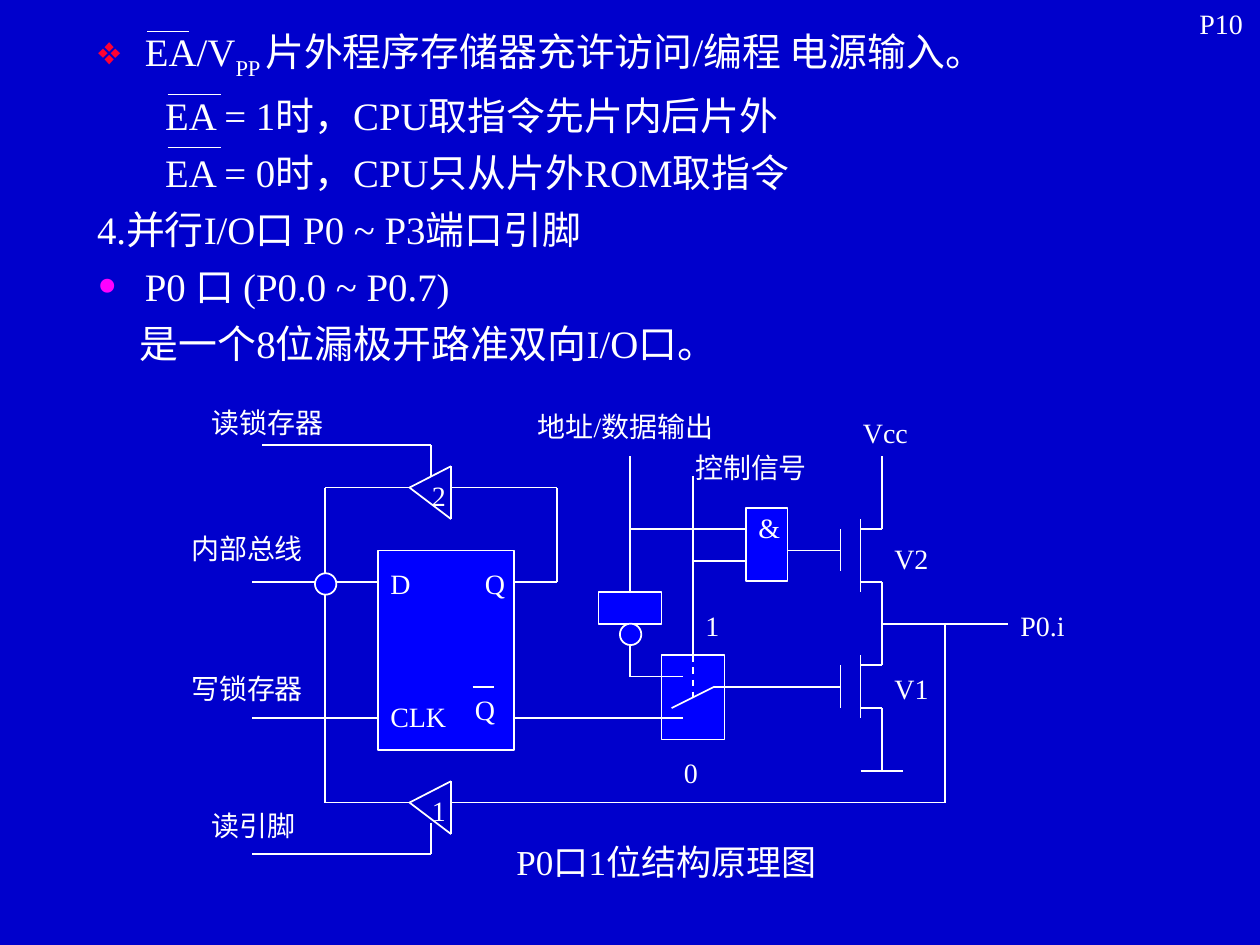
from itertools import pairwise

from lxml.etree import SubElement
from pptx import Presentation
from pptx.dml.color import RGBColor
from pptx.enum.dml import MSO_LINE
from pptx.enum.shapes import MSO_CONNECTOR, MSO_SHAPE
from pptx.enum.text import MSO_AUTO_SIZE as AutoSize
from pptx.oxml.ns import qn
from pptx.util import Inches, Pt

NAVY = RGBColor(0x00, 0x00, 0xCC)
BLUE = RGBColor(0x00, 0x00, 0xFF)
WHITE = RGBColor(0xFF, 0xFF, 0xFF)
RED = RGBColor(0xFF, 0x00, 0x33)
MAGENTA = RGBColor(0xFF, 0x00, 0xFF)
FONT = "Times New Roman"
TOP = 0  # connection site

# Paragraphs: runs as (text, baseline), left margin, bullet as (sign, colour, percent)
NOTES = [
    ([("EA/V", 0), ("PP ", -25), ("片外程序存储器充许访问/编程 电源输入。", 0)],
     0.38, ("❖", RED, 80)),
    ([("EA = 1时，CPU取指令先片内后片外", 0)], 0.54, None),
    ([("EA = 0时，CPU只从片外ROM取指令", 0)], 0.54, None),
    ([("4.并行I/O口 P0 ~ P3端口引脚", 0)], 0, None),
    ([("P0 口 (P0.0 ~ P0.7)", 0)], 0.38, ("•", MAGENTA, 150)),
    ([("是一个8位漏极开路准双向I/O口。", 0)], 0.34, None),
]

OVERBARS = [
    [(1.33, 0.75), (1.75, 0.75)],
    [(1.33, 1.17), (1.75, 1.17)],
    [(1.17, 0.25), (1.5, 0.25)],
]

# Wires of the circuit, each a path of corner points
WIRES = [
    [(3, 4.62), (2, 4.62)],  # internal bus to D
    [(3, 5.7), (2, 5.7)],  # write latch to CLK
    [(3.25, 3.87), (2.58, 3.87), (2.58, 6.37), (3.25, 6.37)],  # buffers to bus
    [(4.08, 4.62), (4.42, 4.62), (4.42, 3.87), (3.58, 3.87)],  # Q to buffer 2
    [(4.08, 5.7), (5.42, 5.7)],  # inverted Q to switch
    [(5, 5.12), (5, 5.37), (5.42, 5.37)],  # inverter to switch
    [(5.33, 5.62), (5.67, 5.45), (6.67, 5.45)],  # switch arm to V1
    [(5, 4.2), (5.92, 4.2)],  # gate inputs and output
    [(5.5, 4.45), (5.92, 4.45)],
    [(6.25, 4.37), (6.67, 4.37)],
    [(7, 3.62), (7, 4.2)],  # supply, output and ground
    [(7, 4.62), (7, 5.28)],
    [(7, 5.62), (7, 6.12)],
    [(6.83, 6.12), (7.17, 6.12)],
    [(7, 4.95), (8, 4.95)],
    [(3.58, 6.37), (7.5, 6.37), (7.5, 4.95)],  # pin to buffer 1
    [(3.42, 3.78), (3.42, 3.53), (2.08, 3.53)],  # read latch
    [(3.42, 6.53), (3.42, 6.78), (2, 6.78)],  # read pin
    [(3.75, 5.45), (3.92, 5.45)],  # bar above Q
]

# Text, left, top, width
LABELS = [
    ("P0.i", 8, 4.78, 0.58), ("1", 3.33, 6.25, 0.5), ("2", 3.33, 3.75, 0.5),
    ("读锁存器", 1.58, 3.17, 1.25), ("内部总线", 1.42, 4.17, 1.17),
    ("写锁存器", 1.42, 5.28, 1.17), ("读引脚", 1.58, 6.37, 1),
    ("D", 3, 4.45, 0.42), ("CLK", 3, 5.5, 0.67),
    ("Q", 3.75, 4.45, 0.42), ("Q", 3.67, 5.45, 0.5),
    ("&", 5.92, 4, 0.42), ("地址/数据输出", 4.17, 3.2, 1.75),
    ("控制信号", 5.42, 3.53, 1.17), ("Vcc", 6.75, 3.25, 0.75),
    ("V2", 7, 4.25, 0.5), ("V1", 7, 5.28, 0.58),
    ("1", 5.5, 4.78, 0.42), ("0", 5.33, 5.95, 0.58),
]


def set_font(run, size):
    for name, value in {"name": FONT, "size": Pt(size)}.items():
        setattr(run.font, name, value)
    run.font.color.rgb = WHITE


def set_bullet(paragraph, margin, bullet):
    properties = paragraph._p.get_or_add_pPr()
    properties.set("marL", str(Inches(margin)))
    properties.set("indent", str(-Inches(margin) if bullet else 0))
    if not bullet:
        SubElement(properties, qn("a:buNone"))
        return
    sign, color, percent = bullet
    holder = SubElement(properties, qn("a:buClr"))
    SubElement(holder, qn("a:srgbClr"), val=str(color))
    SubElement(properties, qn("a:buSzPct"), val=str(percent * 1000))
    SubElement(properties, qn("a:buFont"), typeface=FONT)
    SubElement(properties, qn("a:buChar"), char=sign)


def fill_notes(body):
    box = {"left": 0.67, "top": 0.17, "width": 8.5, "height": 2.92}
    for name, value in box.items():
        setattr(body, name, Inches(value))
    frame = body.text_frame
    frame.auto_size = AutoSize.NONE
    for index, (runs, margin, bullet) in enumerate(NOTES):
        paragraph = frame.add_paragraph() if index else frame.paragraphs[0]
        paragraph.space_before = Pt(6)
        set_bullet(paragraph, margin, bullet)
        for text, baseline in runs:
            run = paragraph.add_run()
            run.text = text
            set_font(run, 22.2)
            if baseline:
                run.font._element.set("baseline", str(baseline * 1000))


def add_label(shapes, text, left, top, width, height=0.37, size=16, before=10):
    label = shapes.add_textbox(*map(Inches, (left, top, width, height)))
    frame = label.text_frame
    frame.word_wrap = True
    frame.auto_size = AutoSize.SHAPE_TO_FIT_TEXT
    paragraph = frame.paragraphs[0]
    paragraph.space_before = Pt(before)
    run = paragraph.add_run()
    run.text = text
    set_font(run, size)


def add_block(shapes, left, top, width, height, kind=MSO_SHAPE.RECTANGLE):
    block = shapes.add_shape(kind, *map(Inches, (left, top, width, height)))
    block.shadow.inherit = False
    block.fill.solid()
    block.fill.fore_color.rgb = BLUE
    block.line.color.rgb = WHITE
    block.line.width = Pt(1)
    return block


def add_line(shapes, start, end):
    line = shapes.add_connector(MSO_CONNECTOR.STRAIGHT, *map(Inches, start + end))
    line.line.color.rgb = WHITE
    line.line.width = Pt(1)
    SubElement(line._element.spPr, qn("a:effectLst"))
    return line


def add_path(shapes, points):
    for start, end in pairwise(points):
        add_line(shapes, start, end)


def add_buffer(shapes, top):
    tip, upper, lower = (3.25, top + 0.17), (3.58, top), (3.58, top + 0.42)
    add_path(shapes, [tip, upper, lower, tip])


def add_transistor(shapes, channel, gate, terminals):
    add_path(shapes, [(6.83, y) for y in channel])
    add_path(shapes, [(6.67, y) for y in gate])
    for y in terminals:
        add_path(shapes, [(6.83, y), (7, y)])


def add_circuit(shapes):
    # Latch, gate, inverter with its bubble, and switch
    add_block(shapes, 3, 4.37, 1.08, 1.58)
    add_block(shapes, 5.92, 4.03, 0.33, 0.58)
    inverter = add_block(shapes, 4.75, 4.7, 0.5, 0.25)
    add_block(shapes, 4.92, 4.95, 0.17, 0.17, MSO_SHAPE.OVAL)
    switch = add_block(shapes, 5.25, 5.2, 0.5, 0.67)

    # Lines joined to the inverter and the switch
    add_line(shapes, (5, 4.7), (5, 3.62)).begin_connect(inverter, TOP)
    add_line(shapes, (5.5, 5.2), (5.5, 3.78)).begin_connect(switch, TOP)
    control = add_line(shapes, (5.5, 5.2), (5.5, 5.53))
    control.line.dash_style = MSO_LINE.DASH
    control.begin_connect(switch, TOP)

    # Buffers, transistors and wires
    for top in (3.7, 6.2):
        add_buffer(shapes, top)
    add_transistor(shapes, (4.12, 4.7), (4.2, 4.53), (4.2, 4.62))
    add_transistor(shapes, (5.2, 5.7), (5.28, 5.62), (5.28, 5.62))
    for points in WIRES:
        add_path(shapes, points)

    # Labels, caption and bus node
    for label in LABELS:
        add_label(shapes, *label)
    add_label(shapes, "P0口1位结构原理图", 4, 6.62, 2.58, 0.77, 20, 12.5)
    add_block(shapes, 2.5, 4.55, 0.17, 0.17, MSO_SHAPE.OVAL)


def main():
    presentation = Presentation()
    presentation.slide_width, presentation.slide_height = Inches(10), Inches(7.5)
    slide = presentation.slides.add_slide(presentation.slide_layouts[1])
    slide.background.fill.solid()
    slide.background.fill.fore_color.rgb = NAVY
    title = slide.shapes.title._element
    title.getparent().remove(title)

    fill_notes(slide.placeholders[1])
    add_label(slide.shapes, "P10", 9.42, 0, 0.58)
    overbars = slide.shapes.add_group_shape()
    for points in OVERBARS:
        add_path(overbars.shapes, points)
    add_circuit(slide.shapes.add_group_shape().shapes)
    presentation.save("out.pptx")


if __name__ == "__main__":
    main()
